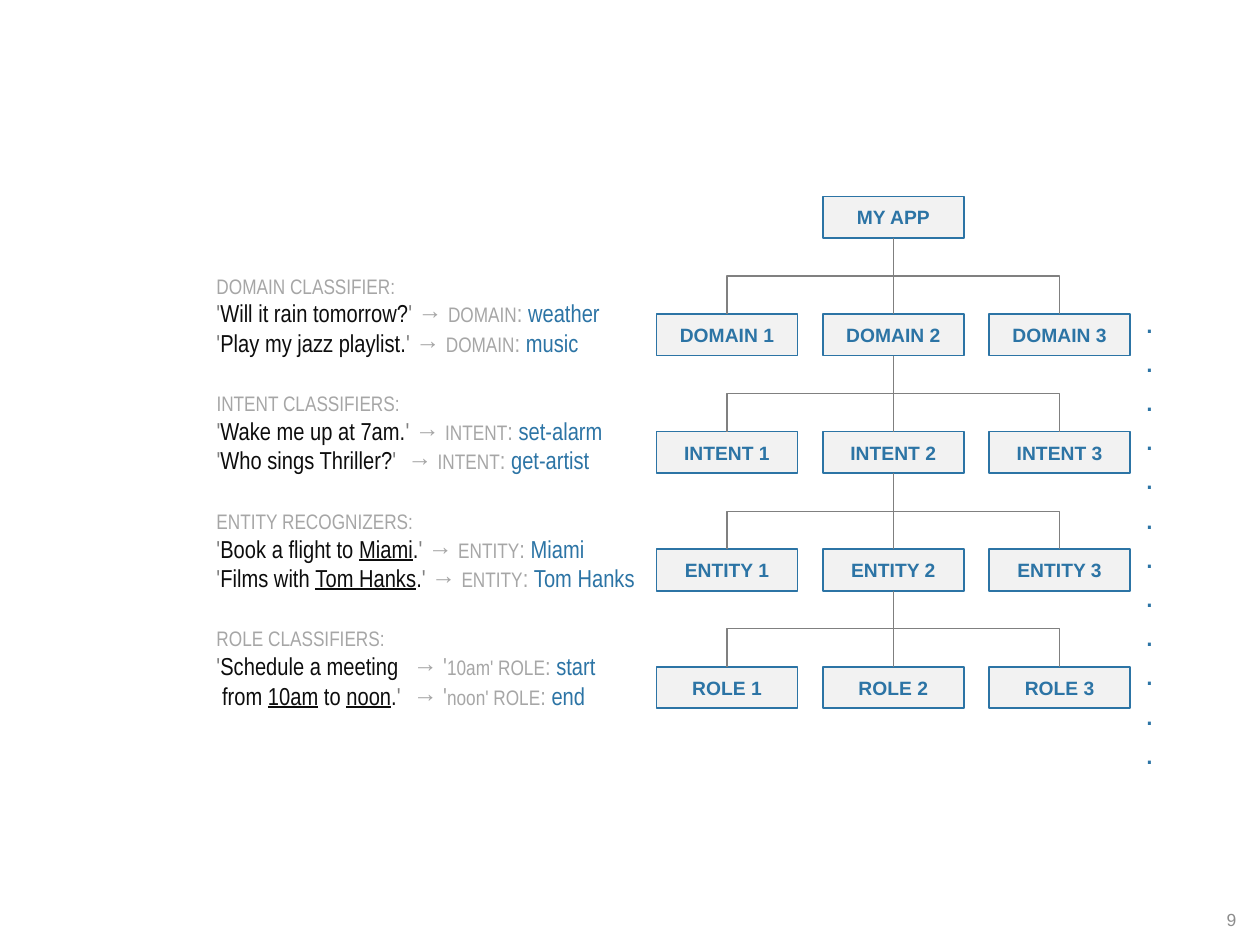
import pptx
import pptx.util
import pptx.dml.color
import pptx.enum.shapes
import pptx.enum.text
import pptx.oxml
import pptx.oxml.ns
from lxml import etree

Inches, Pt = pptx.util.Inches, pptx.util.Pt
RGB = pptx.dml.color.RGBColor
ALIGN = pptx.enum.text.PP_ALIGN
ANCHOR = pptx.enum.text.MSO_ANCHOR
LINK = pptx.enum.shapes.MSO_CONNECTOR
qn = pptx.oxml.ns.qn

BLUE = RGB(0x2C, 0x74, 0xA5)
PALE = RGB(0xF2, 0xF2, 0xF2)
GRAY = RGB(0x80, 0x80, 0x80)
STEM = RGB(0x7F, 0x7F, 0x7F)
LIGHT = RGB(0xA6, 0xA6, 0xA6)
INK = RGB(0x0D, 0x0D, 0x0D)
FOLIO = RGB(0x8C, 0x8C, 0x8C)

# Tree measures
BOX_W, BOX_H = 1.12, 0.33
COL, ROW = 1.32, 0.933
GAP = ROW - BOX_H

# Heading, tab stop, then (quote, spoken text, close, arrow, tag, answer);
# underscores enclose underlined words
LEVELS = [
    ("DOMAIN", "DOMAIN CLASSIFIER:", 3.26, None, [
        ("'", "Will it rain tomorrow?", "' ", "→ ", "DOMAIN", "weather"),
        ("'", "Play my jazz playlist.", "' ", "→ ", "DOMAIN", "music")]),
    ("INTENT", "INTENT CLASSIFIERS:", 3.28, None, [
        ("'", "Wake me up at 7am.", "' ", "→ ", "INTENT", "set-alarm"),
        ("'", "Who sings Thriller?", "'  ", "→ ", "INTENT", "get-artist")]),
    ("ENTITY", "ENTITY RECOGNIZERS:", 3.54, None, [
        ("'", "Book a flight to _Miami_.", "' ", "→ ", "ENTITY", "Miami"),
        ("'", "Films with _Tom Hanks_.", "' ", "→ ", "ENTITY", "Tom Hanks")]),
    ("ROLE", "ROLE CLASSIFIERS:", 3.24, 1.56, [
        ("'", "Schedule a meeting \t", "", "→ '", "10am' ROLE", "start"),
        (" ", "from _10am_ to _noon_.", "' \t", "→ '", "noon' ROLE", "end")]),
]


def style(font, size, color, name="Arial", bold=None):
    font.size, font.name, font.bold = Pt(size), name, bold
    font.color.rgb = color


def add_text(shapes, x, y, w, h, wrap=True):
    box = shapes.add_textbox(Inches(x), Inches(y), Inches(w), Inches(h))
    box.text_frame.word_wrap = wrap
    return box.text_frame


def add_node(shapes, x, y, label):
    node = shapes.add_shape(pptx.enum.shapes.MSO_SHAPE.RECTANGLE,
                            Inches(x), Inches(y), Inches(BOX_W), Inches(BOX_H))
    node.shadow.inherit = False
    node.fill.solid()
    node.fill.fore_color.rgb = PALE
    node.line.color.rgb, node.line.width = BLUE, Pt(1)
    frame = node.text_frame
    frame.vertical_anchor = ANCHOR.MIDDLE
    para = frame.paragraphs[0]
    para.text, para.alignment = label, ALIGN.CENTER
    style(para.font, 11, BLUE, bold=True)


def add_link(shapes, kind, x1, y1, x2, y2, color, turn=0):
    link = shapes.add_connector(kind, *map(Inches, (x1, y1, x2, y2)))
    link.line.color.rgb, link.line.width = color, Pt(0.75)
    props = link._element.spPr
    etree.SubElement(props, qn("a:effectLst"))
    if turn:
        props.find(qn("a:xfrm")).set("rot", str(turn * 60000))


def add_row(shapes, x, y, name):
    """Three nodes, joined to the node above the middle one."""
    for i in range(3):
        add_node(shapes, x + i * COL, y, f"{name} {i + 1}")
    mid, top = x + COL + BOX_W / 2, y - GAP
    # An elbow is laid out sideways around its centre, then turned
    for side, turn in ((1, 270), (-1, 90)):
        cx, cy = mid + side * COL / 2, y - GAP / 2
        add_link(shapes, LINK.ELBOW, cx + side * GAP / 2, cy - COL / 2,
                 cx - side * GAP / 2, cy + COL / 2, GRAY, turn)
    add_link(shapes, LINK.STRAIGHT, mid, top, mid, y, STEM)
    # Dots stack one per line in the narrow box
    dots = add_text(shapes, x + 3.78, y - 0.16, 0.33, 0.44).paragraphs[0]
    dots.text, dots.line_spacing = "...", 1.04
    style(dots.font, 18, BLUE)


def add_tree(shapes, x, y):
    add_node(shapes, x + COL, y, "MY APP")
    for i, level in enumerate(LEVELS):
        add_row(shapes, x, y + (i + 1) * ROW, level[0])


def add_run(para, text, size, color, under=None):
    if text:
        run = para.add_run()
        run.text = text
        style(run.font, size, color, "Arial Narrow")
        run.font.underline = under


def add_note(shapes, x, y, w, head, tab, lines):
    """A heading with two worked examples."""
    frame = add_text(shapes, x, y, w, 0.77, wrap=False)
    first = frame.paragraphs[0]
    first.text = head
    style(first.font, 12, LIGHT, "Arial Narrow")
    for quote, said, close, arrow, tag, answer in lines:
        para = frame.add_paragraph()
        if tab:
            tabs = etree.SubElement(para._p.get_or_add_pPr(), qn("a:tabLst"))
            etree.SubElement(tabs, qn("a:tab"), pos=str(Inches(tab)), algn="l")
        add_run(para, quote, 14, GRAY)
        for i, part in enumerate(said.split("_")):
            add_run(para, part, 14, INK, True if i % 2 else None)
        add_run(para, close, 14, GRAY)
        add_run(para, arrow, 14, LIGHT)
        add_run(para, tag, 12, LIGHT)
        add_run(para, ": ", 14, LIGHT)
        add_run(para, answer, 14, BLUE)


def add_folio(shapes, x, y, w, h):
    frame = add_text(shapes, x, y, w, h)
    frame.vertical_anchor = ANCHOR.MIDDLE
    para = frame.paragraphs[0]
    para.text, para.alignment = "9", ALIGN.RIGHT
    style(para.font, 10, FOLIO)


deck = pptx.Presentation()
deck.slide_width, deck.slide_height = Inches(10), Inches(7.5)
slide = deck.slides.add_slide(deck.slide_layouts[6])

add_folio(slide.shapes, 7.58, 7.1, 2.33, 0.4)
add_tree(slide.shapes.add_group_shape().shapes, 5.21, 1.56)
for i, (name, head, w, tab, lines) in enumerate(LEVELS):
    add_note(slide.shapes, 1.62, 2.12 + i * ROW, w, head, tab, lines)

deck.save("out.pptx")
